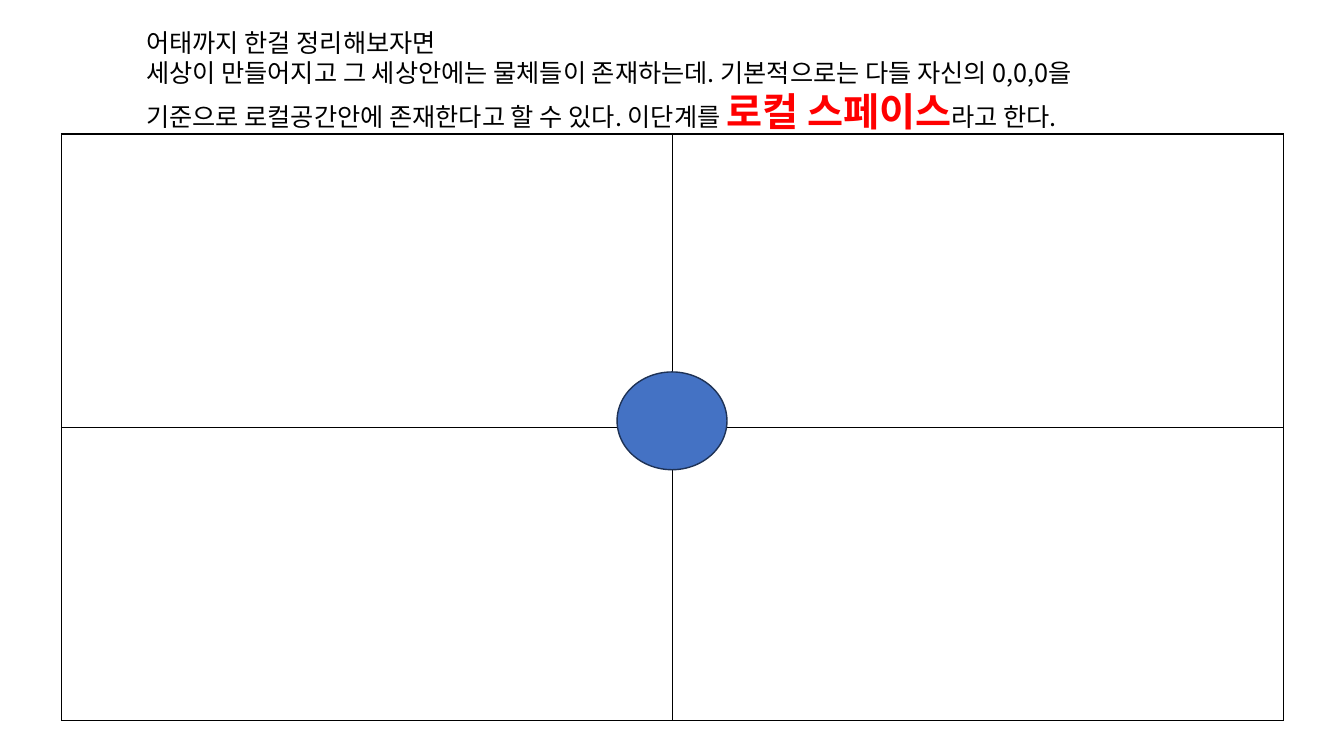
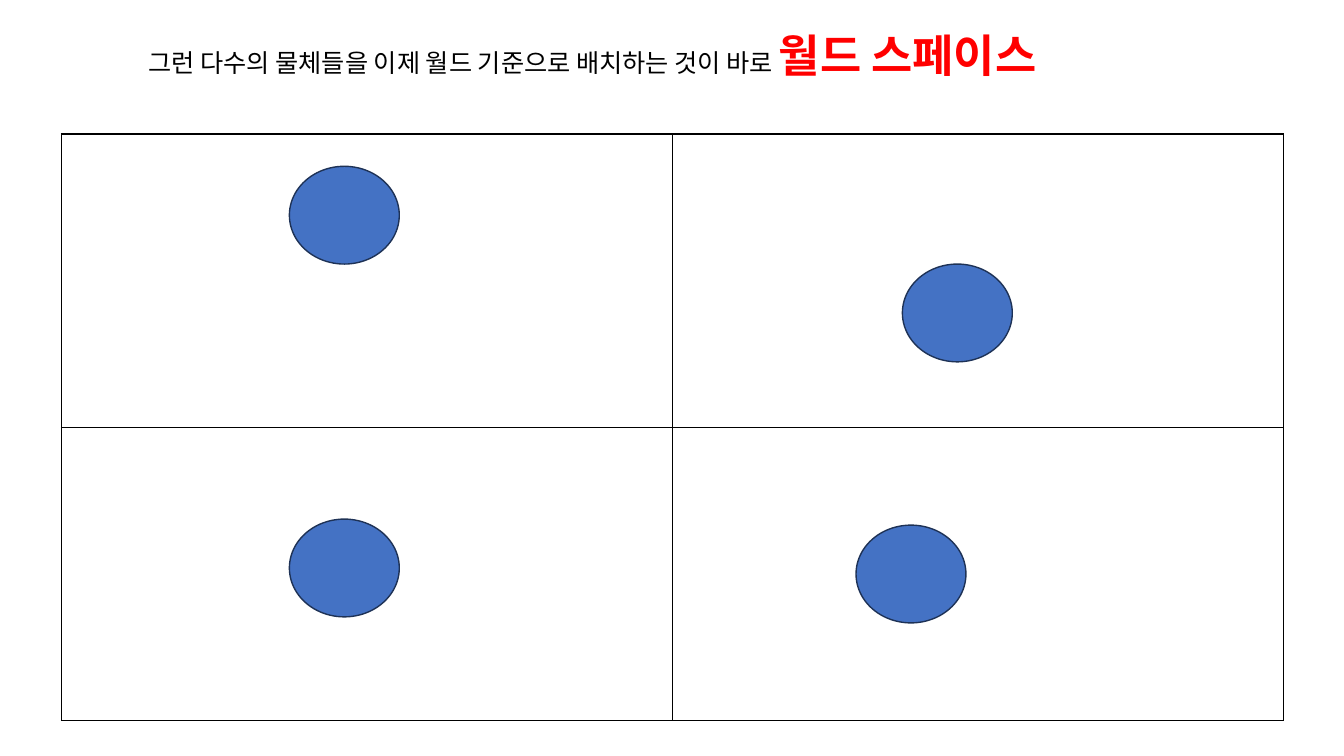
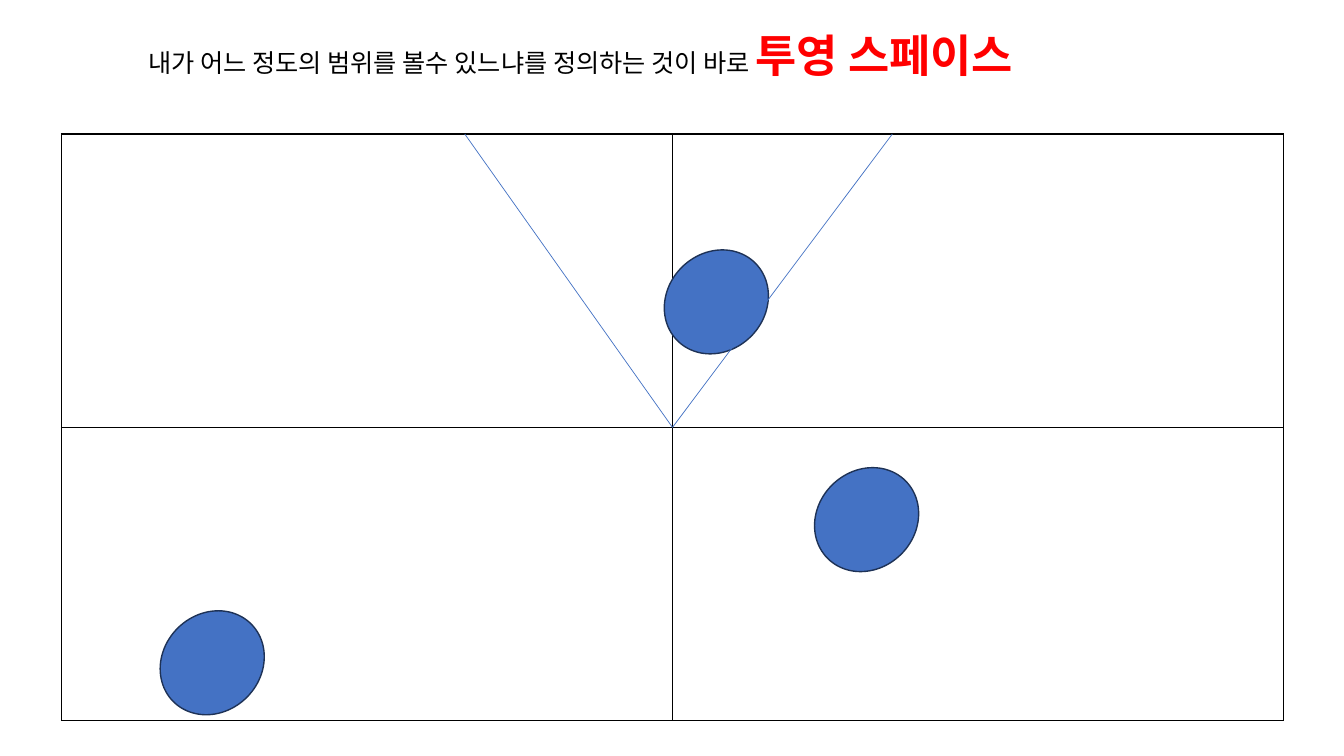
from dataclasses import dataclass

from lxml import etree
from pptx import Presentation
from pptx.dml.color import RGBColor
from pptx.enum.shapes import MSO_CONNECTOR, MSO_SHAPE
from pptx.enum.text import MSO_ANCHOR, MSO_AUTO_SIZE, PP_ALIGN
from pptx.oxml import parse_xml
from pptx.oxml.ns import nsdecls, qn
from pptx.util import Inches, Pt

OVAL, LINE = MSO_SHAPE.OVAL, MSO_CONNECTOR.STRAIGHT
TOP, LEFT, GROW = MSO_ANCHOR.TOP, PP_ALIGN.LEFT, MSO_AUTO_SIZE.SHAPE_TO_FIT_TEXT
TITLE_ONLY = 5

# Content: each title is paragraphs of (text, style); balls are (left, top)
SLIDES = [
    {
        "title": [
            [("어태까지 한걸 정리해보자면", "body")],
            [("세상이 만들어지고 그 세상안에는 물체들이 존재하는데. 기본적으로는 다들 "
              "자신의 0,0,0을 기준으로 로컬공간안에 존재한다고 할 수 있다. 이단계를 ", "body"),
             ("로컬 스페이스", "key"),
             ("라고 한다.", "body")],
        ],
        "box": (1.35, 0.22, 10.33, 1.18),
        "balls": [(6.12, 3.69)],
    },
    {
        "title": [[("그런 다수의 물체들을 이제 월드 기준으로 배치하는 것이 바로 ", "body"),
                   ("월드 스페이스", "big")]],
        "balls": [(8.49, 5.21), (2.87, 5.15), (8.95, 2.62), (2.87, 1.65)],
    },
    {
        "title": [[("내가 어느 정도의 범위를 볼수 있느냐를 정의하는 것이 바로 ", "body"),
                   ("투영 스페이스", "big")]],
        "balls": [(8.05, 4.67), (6.56, 2.51), (1.56, 6.09)],
        "turn": 315.3,
        "view": (4.61, 8.85),
    },
]


@dataclass(frozen=True)
class Theme:
    font: str = "Noto Sans CJK KR"
    black: str = "000000"
    red: str = "FF0000"
    blue: str = "4472C4"
    navy: str = "1E3256"
    body: int = 18
    key: int = 28
    big: int = 32
    edge: float = 1
    ray: float = 0.5


THEME = Theme()
STYLES = {
    "body": ({"size": Pt(THEME.body), "bold": False}, THEME.black),
    "key": ({"size": Pt(THEME.key), "bold": True}, THEME.red),
    "big": ({"size": Pt(THEME.big), "bold": True}, THEME.red),
}
FRAME = {"word_wrap": True, "auto_size": GROW, "vertical_anchor": TOP}
TITLE_BOX = (1.37, 0.22, 10.33, 0.64)
GRID = (0.61, 1.33, 12.12, 5.82)
BALL = (1.09, 0.97)


def inches(*vals):
    return [Inches(val) for val in vals]


def apply(obj, vals):
    for name, val in vals.items():
        setattr(obj, name, val)


def stroke(line, color, width):
    line.color.rgb = RGBColor.from_string(color)
    line.width = Pt(width)


def add_title(slide, paras, box):
    title = slide.shapes.title
    apply(title, dict(zip(("left", "top", "width", "height"), inches(*box))))
    frame = title.text_frame
    apply(frame, FRAME)
    for i, parts in enumerate(paras):
        para = frame.add_paragraph() if i else frame.paragraphs[0]
        para.alignment = LEFT
        for text, style in parts:
            run = para.add_run()
            run.text = text
            vals, color = STYLES[style]
            apply(run.font, {"name": THEME.font, **vals})
            run.font.color.rgb = RGBColor.from_string(color)
            # Hangul takes the East Asian font
            asian = etree.SubElement(run.font._element, qn("a:ea"))
            asian.set("typeface", THEME.font)


def add_grid(slide):
    table = slide.shapes.add_table(2, 2, *inches(*GRID)).table
    apply(table, {"first_row": False, "horz_banding": False})
    for cell in table.iter_cells():
        props = cell._tc.get_or_add_tcPr()
        for side in "LRTB":
            props.append(parse_xml(
                f'<a:ln{side} {nsdecls("a")} w="{Pt(THEME.edge)}"><a:solidFill>'
                f'<a:srgbClr val="{THEME.black}"/></a:solidFill></a:ln{side}>'))
        cell.fill.background()


def add_ball(slide, spot, turn):
    ball = slide.shapes.add_shape(OVAL, *inches(*spot, *BALL))
    ball.rotation = turn
    ball.shadow.inherit = False
    ball.fill.solid()
    ball.fill.fore_color.rgb = RGBColor.from_string(THEME.blue)
    stroke(ball.line, THEME.navy, THEME.edge)


def add_ray(slide, start):
    # Rays run from the top edge of the grid to its centre
    left, top, width, height = GRID
    ends = inches(start, top, left + width / 2, top + height / 2)
    ray = slide.shapes.add_connector(LINE, *ends)
    stroke(ray.line, THEME.blue, THEME.ray)
    etree.SubElement(ray._element.spPr, qn("a:effectLst"))


def main():
    deck = Presentation()
    deck.slide_width, deck.slide_height = inches(13.33, 7.5)
    for page in SLIDES:
        slide = deck.slides.add_slide(deck.slide_layouts[TITLE_ONLY])
        add_title(slide, page["title"], page.get("box", TITLE_BOX))
        add_grid(slide)
        for spot in page["balls"]:
            add_ball(slide, spot, page.get("turn", 0))
        for start in page.get("view", ()):
            add_ray(slide, start)
    deck.save("out.pptx")


if __name__ == "__main__":
    main()
